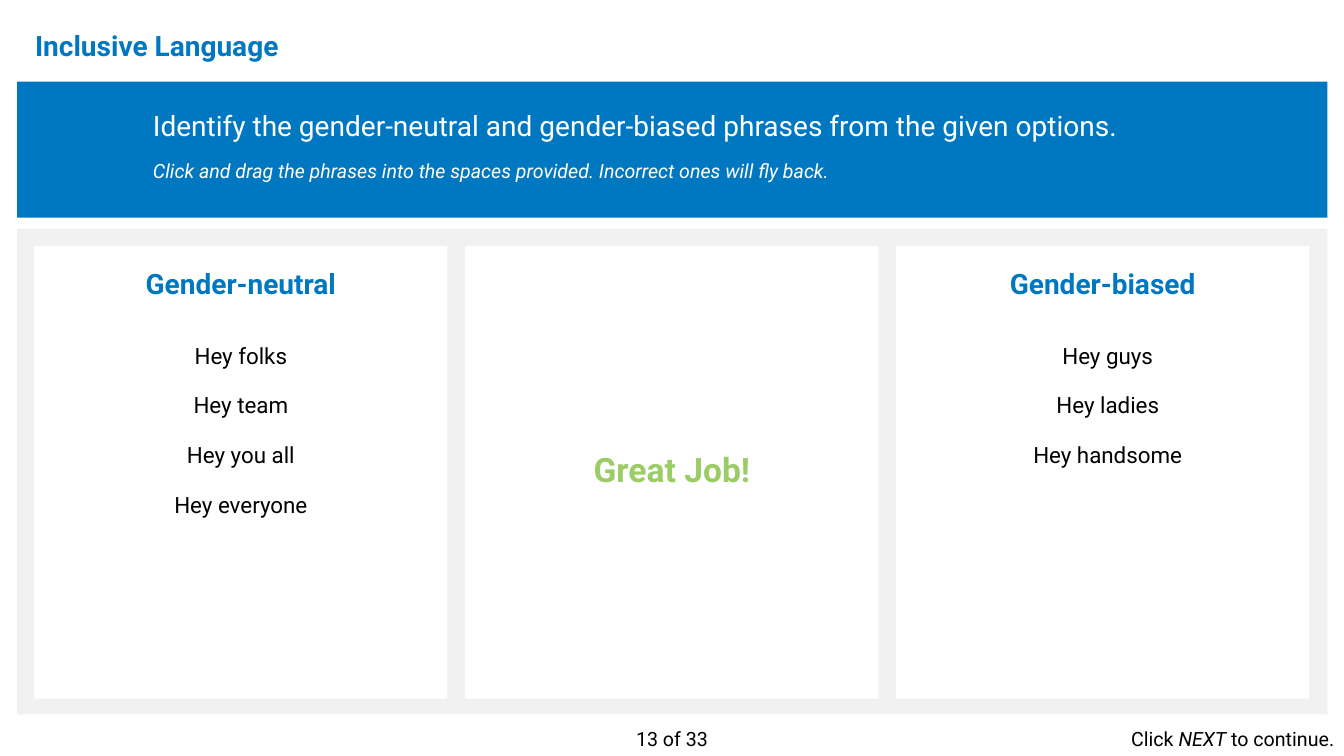
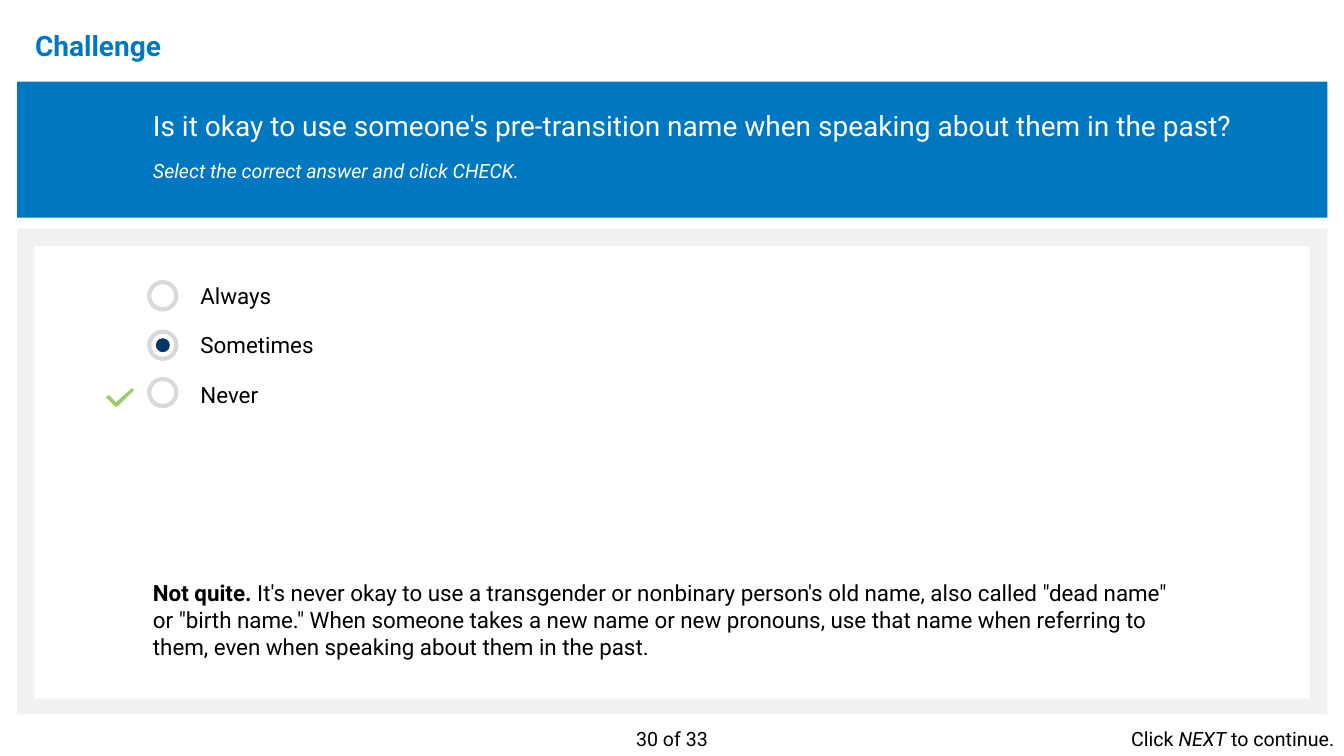
from pptx import Presentation
from pptx.dml.color import RGBColor as RGB
from pptx.enum.shapes import MSO_SHAPE as Shape
from pptx.enum.text import MSO_ANCHOR as Anchor, PP_ALIGN as Align
from pptx.util import Pt

COLORS = {
    "blue": "0078C1",
    "navy": "003767",
    "green": "9CCC65",
    "frame": "F1F1F2",
    "ring": "D9D9D9",
    "white": "FFFFFF",
    "black": "000000",
}
FONT = "Roboto"
EDGE, FULL_W = 12.2, 936
PANEL_X, PANEL_Y, PANEL_W, PANEL_H = 24.5, 175.7, 295.2, 323.3
PANEL_STEP = 307.8
TEXT_X = 102.2


def rgb(name):
    return RGB.from_string(COLORS[name])


class Deck:
    def __init__(self):
        self.prs = Presentation()
        self.prs.slide_width, self.prs.slide_height = Pt(960), Pt(540)
        self.s = None

    def shape(self, x, y, w, h, fill, kind=Shape.RECTANGLE, line=None):
        sp = self.s.shapes.add_shape(kind, Pt(x), Pt(y), Pt(w), Pt(h))
        self.paint(sp, fill, line)

    def paint(self, sp, fill, line=None):
        sp.shadow.inherit = False
        sp.fill.solid()
        sp.fill.fore_color.rgb = rgb(fill)
        if line:
            sp.line.color.rgb = rgb(line)
            sp.line.width = Pt(3)
        else:
            sp.line.fill.background()

    def text(self, x, y, w, h, paragraphs, size=16, color="black", align=Align.LEFT,
             anchor=Anchor.TOP, before=0, after=0, spacing=None):
        tf = self.s.shapes.add_textbox(Pt(x), Pt(y), Pt(w), Pt(h)).text_frame
        tf.word_wrap = True
        tf.vertical_anchor = anchor
        for i, runs in enumerate(paragraphs):
            p = tf.add_paragraph() if i else tf.paragraphs[0]
            p.alignment = align
            p.space_before = Pt(before if i else 0)
            p.space_after = Pt(after)
            if spacing:
                p.line_spacing = spacing
            for words, style in runs:
                r = p.add_run()
                r.text = words
                r.font.name = FONT
                r.font.size = Pt(style.get("size", size))
                r.font.bold = style.get("bold", False)
                r.font.italic = style.get("italic", False)
                r.font.color.rgb = rgb(color)

    def heading(self, x, y, w, words, align=Align.LEFT):
        self.text(x, y, w, 38.9, [[(words, {"bold": True})]], 20, "blue", align,
                  Anchor.MIDDLE, spacing=0.9)

    def slide(self, title, question, hint, page):
        self.s = self.prs.slides.add_slide(self.prs.slide_layouts[6])
        self.shape(EDGE, 58.3, FULL_W, 97.2, "blue")
        self.heading(18, 14.4, 828, title)
        self.text(TEXT_X, 74.2, 817.2, 60.5,
                  [[(question, {})], [(hint, {"size": 14, "italic": True})]],
                  20, "white", after=12)
        self.shape(EDGE, 163.4, FULL_W, 347, "frame")
        self.text(384, 515.5, 192, 24.5, [[(f"{page} of 33", {})]], 14, align=Align.CENTER)
        self.text(768.2, 515.5, 192, 24.5,
                  [[("Click ", {}), ("NEXT", {"italic": True}), (" to continue.", {})]],
                  14, align=Align.RIGHT)

    def panel(self, col=0, span=1):
        x = PANEL_X + col * PANEL_STEP
        self.shape(x, PANEL_Y, PANEL_W + (span - 1) * PANEL_STEP, PANEL_H, "white")
        return x

    def phrases(self, x, items):
        for i, item in enumerate(items):
            self.text(x, 240.5 + i * 35.5, 288, 26.6, [[(item, {})]],
                      align=Align.CENTER, anchor=Anchor.MIDDLE)

    def radio(self, y, selected=False):
        x, ring, dot = 106.6, 19.4, 10
        inset = (ring - dot) / 2
        self.shape(x, y, ring, ring, "white", Shape.OVAL, "ring")
        if selected:
            self.shape(x + inset, y + inset, dot, dot, "navy", Shape.OVAL)

    def outline(self, points, fill):
        start, *rest = [(Pt(x), Pt(y)) for x, y in points]
        builder = self.s.shapes.build_freeform(*start)
        builder.add_line_segments(rest, close=True)
        self.paint(builder.convert_to_shape(), fill)


def sorting_slide(deck):
    deck.slide("Inclusive Language",
               "Identify the gender-neutral and gender-biased phrases from the given options.",
               "Click and drag the phrases into the spaces provided. Incorrect ones will fly back.",
               13)
    left, _, right = [deck.panel(col) for col in range(3)]
    groups = [
        (left, 28.1, "Gender-neutral", ["Hey folks", "Hey team", "Hey you all", "Hey everyone"]),
        (right, 647.3, "Gender-biased", ["Hey guys", "Hey ladies", "Hey handsome"]),
    ]
    for x, phrase_x, name, items in groups:
        deck.heading(x, 184.3, PANEL_W, name, Align.CENTER)
        deck.phrases(phrase_x, items)
    deck.text(355, 316.8, 249.8, 36, [[("Great Job!", {"bold": True})]], 24, "green",
              Align.CENTER)


def challenge_slide(deck):
    deck.slide("Challenge",
               "Is it okay to use someone's pre-transition name when speaking about them in the past?",
               "Select the correct answer and click CHECK.", 30)
    deck.panel(span=3)
    for y, selected in [(201.6, False), (236.9, True), (270.7, False)]:
        deck.radio(y, selected)
    deck.text(136.1, 198, 138.2, 97.9,
              [[(answer, {})] for answer in ("Always", "Sometimes", "Never")],
              before=10, after=6)
    deck.outline([(94.3, 277.2), (82.8, 287.3), (77.8, 282.2), (75.6, 283.7),
                  (82.8, 290.9), (85, 289.4), (95.8, 278.6)], "green")
    deck.text(TEXT_X, 410.4, 741.6, 100.8, [[
        ("Not quite. ", {"bold": True}),
        ("It's never okay to use a transgender or nonbinary person's old name, also called "
         "\"dead name\" or \"birth name.\" When someone takes a new name or new pronouns, use "
         "that name when referring to them, even when speaking about them in the past.", {}),
    ]], after=6)


def main():
    deck = Deck()
    sorting_slide(deck)
    challenge_slide(deck)
    deck.prs.save("out.pptx")


if __name__ == "__main__":
    main()
